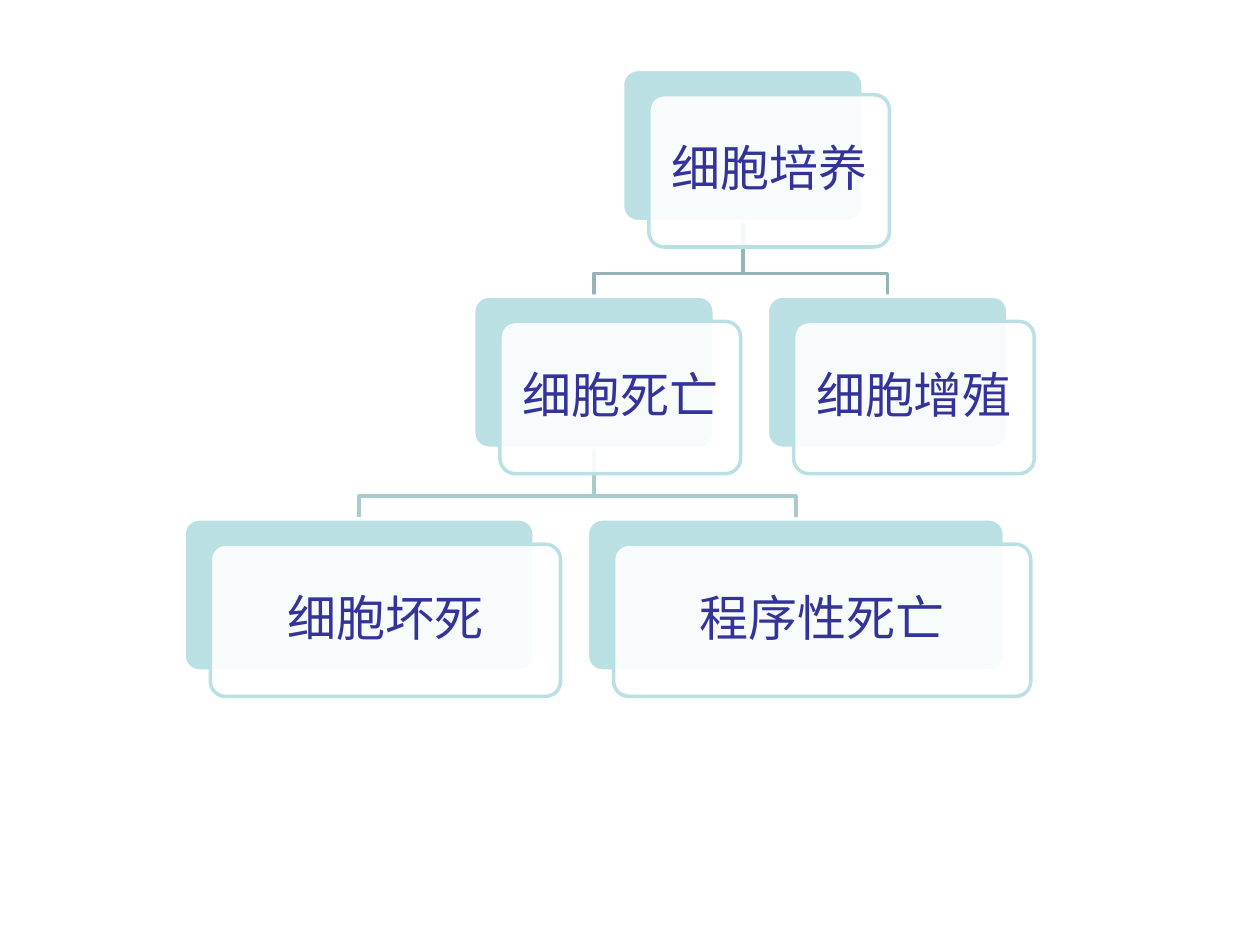
from lxml import etree
from pptx import Presentation
from pptx import util as u
from pptx.dml.color import RGBColor
from pptx.enum import shapes, text
from pptx.oxml.ns import qn

FONT = "Noto Sans CJK SC"
CARD_H = 3.07
SHIFT_X, SHIFT_Y = 0.53, 0.51   # front card relative to back card
BEND = 0.46                     # height of a branch above the child card


def color(value):
    return RGBColor.from_string(value)


class Chart:
    teal, white, ink = "BBE0E3", "FFFFFF", "333399"
    para = dict(alignment=text.PP_ALIGN.CENTER, line_spacing=0.9,
                space_after=u.Pt(9.8))
    frame = dict(word_wrap=True, vertical_anchor=text.MSO_ANCHOR.MIDDLE,
                 margin_left=u.Cm(0.3), margin_right=u.Cm(0.3),
                 margin_top=u.Cm(0.3), margin_bottom=u.Cm(0.3))
    font = dict(name=FONT, size=u.Pt(28))

    def __init__(self, prs):
        self.s = prs.slides.add_slide(prs.slide_layouts[6])

    def apply(self, obj, values):
        for name, value in values.items():
            setattr(obj, name, value)

    def outline(self, sp, line):
        sp.shadow.inherit = False
        sp.line.color.rgb = color(line)
        sp.line.width = u.Pt(2)

    def panel(self, x, y, w, fill, line, alpha=None):
        sp = self.s.shapes.add_shape(
            shapes.MSO_SHAPE.ROUNDED_RECTANGLE,
            u.Cm(x), u.Cm(y), u.Cm(w), u.Cm(CARD_H))
        sp.adjustments[0] = 0.1
        sp.fill.solid()
        sp.fill.fore_color.rgb = color(fill)
        if alpha:
            clr = sp.fill._xPr.find(qn("a:solidFill"))[0]
            etree.SubElement(clr, qn("a:alpha")).set("val", str(alpha * 1000))
        self.outline(sp, line)

    def label(self, x, y, w, words):
        pad = 0.09
        sp = self.s.shapes.add_textbox(u.Cm(x + pad), u.Cm(y + pad),
                                       u.Cm(w - 2 * pad), u.Cm(CARD_H - 2 * pad))
        tf = sp.text_frame
        self.apply(tf, self.frame)
        p = tf.paragraphs[0]
        self.apply(p, self.para)
        r = p.add_run()
        r.text = words
        self.apply(r.font, self.font)
        r.font.color.rgb = color(self.ink)
        etree.SubElement(r.font._element, qn("a:ea")).set("typeface", FONT)

    def card(self, x, y, w, words):
        self.panel(x, y, w, self.teal, self.white)
        x, y = x + SHIFT_X, y + SHIFT_Y
        self.panel(x, y, w, self.white, self.teal, alpha=90)
        self.label(x, y, w, words)

    def branch(self, parent, child, line):
        (px, py, pw, _), (cx, cy, cw, _) = parent, child
        x1, x2 = px + pw / 2, cx + cw / 2
        points = [(x1, py + CARD_H), (x1, cy - BEND), (x2, cy - BEND), (x2, cy)]
        start, *rest = [(u.Cm(x), u.Cm(y)) for x, y in points]
        fb = self.s.shapes.build_freeform(*start)
        fb.add_line_segments(rest, close=False)
        sp = fb.convert_to_shape()
        sp.fill.background()
        self.outline(sp, line)


def main():
    prs = Presentation()
    prs.slide_width, prs.slide_height = u.Cm(25.4), u.Cm(19.05)
    chart = Chart(prs)

    # Cards: left, top, width, words
    rows = [1.4, 5.97, 10.46]
    cards = {
        "culture": (12.55, rows[0], 4.85, "细胞培养"),
        "death": (9.55, rows[1], 4.85, "细胞死亡"),
        "necrosis": (3.71, rows[2], 7.06, "细胞坏死"),
        "programmed": (11.84, rows[2], 8.41, "程序性死亡"),
        "growth": (15.47, rows[1], 4.85, "细胞增殖"),
    }

    # Branches lie behind the cards
    for parent, child, line in [("culture", "growth", "96B3B6"),
                                ("death", "programmed", "AACBCE"),
                                ("death", "necrosis", "AACBCE"),
                                ("culture", "death", "96B3B6")]:
        chart.branch(cards[parent], cards[child], line)

    for card in cards.values():
        chart.card(*card)

    prs.save("out.pptx")


if __name__ == "__main__":
    main()
